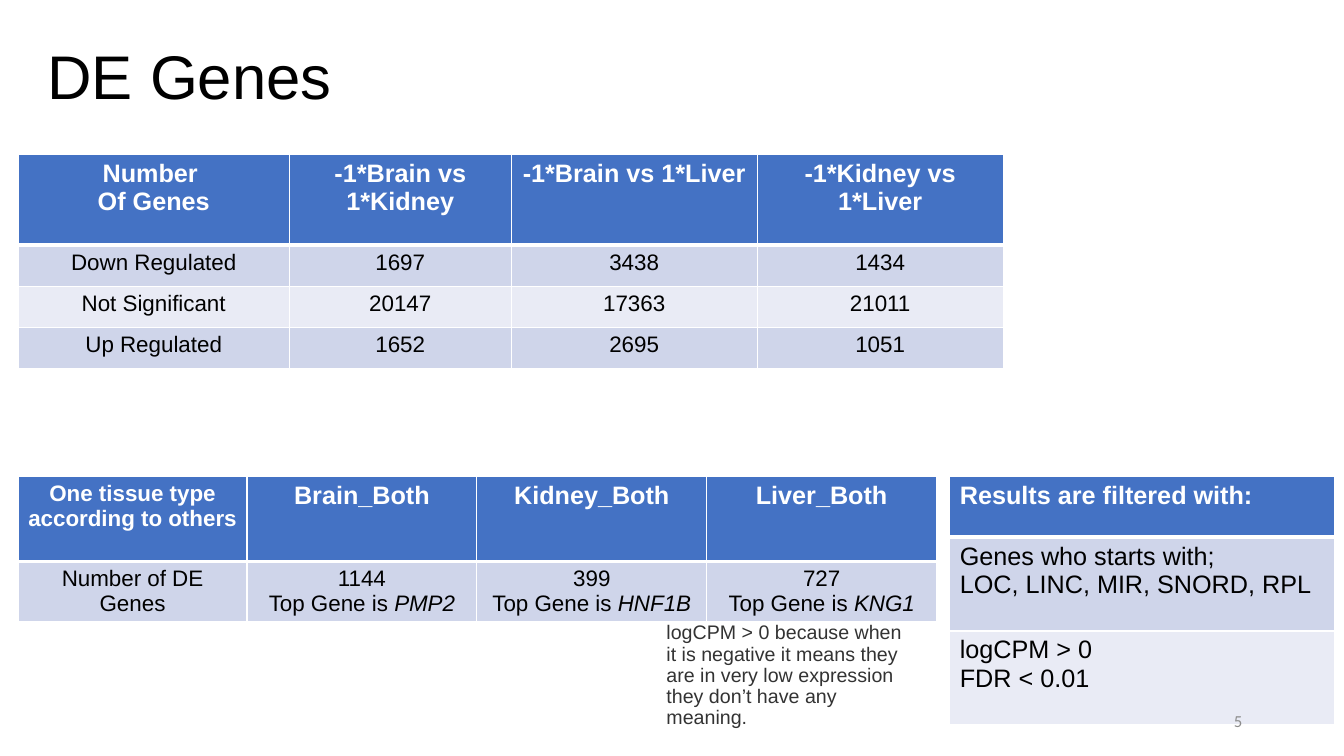
from dataclasses import dataclass

from lxml.etree import SubElement
from pptx import Presentation
from pptx.dml.color import RGBColor
from pptx.enum.text import MSO_ANCHOR, MSO_AUTO_SIZE, PP_ALIGN
from pptx.oxml.ns import qn
from pptx.util import Inches, Pt


@dataclass(frozen=True)
class Theme:
    font: str = "Arial"
    number_font: str = "Calibri"
    header: str = "4472C4"
    bands: tuple = ("CFD5EA", "E9EBF5")
    white: str = "FFFFFF"
    black: str = "000000"
    note: str = "333333"
    gray: str = "8C8C8C"
    title_size: int = 44
    head_size: int = 18
    cell_size: int = 16
    note_size: int = 14
    number_size: int = 12


T = Theme()


def style(font, size, color, bold=False, name=T.font):
    font.name, font.size, font.bold = name, Pt(size), bold
    font.color.rgb = RGBColor.from_string(color)


def place(shape, box):
    shape.left, shape.top, shape.width, shape.height = map(Inches, box)


def add_borders(cell, bottom):
    tc_pr = cell._tc.get_or_add_tcPr()
    for side, width in (("L", 1), ("R", 1), ("T", 1), ("B", bottom)):
        ln = SubElement(tc_pr, qn(f"a:ln{side}"), w=str(Pt(width)))
        fill = SubElement(ln, qn("a:solidFill"))
        SubElement(fill, qn("a:srgbClr"), val=T.white)


def fill_cell(cell, text, fill, size, color, bold, align):
    """Write one paragraph per line; whatever follows a bar is italic."""
    add_borders(cell, 3 if bold else 1)
    cell.fill.solid()
    cell.fill.fore_color.rgb = RGBColor.from_string(fill)
    tf = cell.text_frame
    for i, line in enumerate(text.split("\n")):
        p = tf.paragraphs[0] if i == 0 else tf.add_paragraph()
        plain, _, gene = line.partition("|")
        p.text = plain
        p.alignment = align
        if gene:
            r = p.add_run()
            r.text = gene
            r.font.italic = True
        for r in p.runs:
            style(r.font, size, color, bold)


def add_grid(s, left, top, widths, heights, rows,
             body_size=T.cell_size, align=PP_ALIGN.CENTER):
    box = map(Inches, (left, top, sum(widths), sum(heights)))
    table = s.shapes.add_table(len(rows), len(widths), *box).table
    for col, width in zip(table.columns, widths):
        col.width = Inches(width)
    for i, (row, height, texts) in enumerate(zip(table.rows, heights, rows)):
        row.height = Inches(height)
        if i == 0:
            look = (T.header, T.head_size, T.white, True)
        else:
            look = (T.bands[(i - 1) % 2], body_size, T.black, False)
        for cell, text in zip(row.cells, texts):
            fill_cell(cell, text, *look, align)
    return table


def add_title(s, box):
    title = s.shapes.title
    place(title, box)
    tf = title.text_frame
    tf.text = "DE Genes"
    tf.vertical_anchor = MSO_ANCHOR.MIDDLE
    tf.auto_size = MSO_AUTO_SIZE.NONE
    p = tf.paragraphs[0]
    p.alignment, p.line_spacing = PP_ALIGN.LEFT, 0.9
    style(p.runs[0].font, T.title_size, T.black)


def add_note(s, box):
    body = s.placeholders[1]
    place(body, box)
    tf = body.text_frame
    tf.text = ("logCPM > 0 because when it is negative it means they are in "
               "very low expression they don’t have any meaning.")
    tf.auto_size = MSO_AUTO_SIZE.NONE
    p = tf.paragraphs[0]
    p_pr = p._p.get_or_add_pPr()
    p_pr.set("marL", "0")
    p_pr.set("indent", "0")
    SubElement(p_pr, qn("a:buNone"))
    p.alignment, p.line_spacing, p.space_before = PP_ALIGN.LEFT, 0.9, Pt(0)
    style(p.runs[0].font, T.note_size, T.note)


def add_tissue_table(s, left, top):
    rows = [
        ["One tissue type according to others",
         "Brain_Both", "Kidney_Both", "Liver_Both"],
        ["Number of DE Genes", "1144\nTop Gene is |PMP2",
         "399\nTop Gene is |HNF1B", "727\nTop Gene is |KNG1"],
    ]
    table = add_grid(s, left, top, [2.27] + [2.28] * 3, [0.84, 0.6], rows)
    corner = table.cell(0, 0).text_frame.paragraphs[0]
    corner.runs[0].font.size = Pt(T.cell_size)


def add_filter_table(s, left, top):
    rows = [
        ["Results are filtered with:"],
        ["Genes who starts with;\nLOC, LINC, MIR, SNORD, RPL"],
        ["logCPM > 0\nFDR < 0.01"],
    ]
    add_grid(s, left, top, [3.82], [0.6, 0.93, 0.93], rows,
             T.head_size, PP_ALIGN.LEFT)


def add_regulation_table(s, left, top):
    rows = [
        ["Number \nOf Genes", "-1*Brain vs 1*Kidney",
         "-1*Brain vs 1*Liver", "-1*Kidney vs 1*Liver"],
        ["Down Regulated", "1697", "3438", "1434"],
        ["Not Significant", "20147", "17363", "21011"],
        ["Up Regulated", "1652", "2695", "1051"],
    ]
    add_grid(s, left, top, [2.69, 2.2, 2.44, 2.44], [0.9] + [0.41] * 3, rows)


def add_slide_number(s, box):
    tf = s.shapes.add_textbox(*map(Inches, box)).text_frame
    tf.word_wrap = True
    tf.text = "5"
    tf.vertical_anchor = MSO_ANCHOR.MIDDLE
    p = tf.paragraphs[0]
    p.alignment = PP_ALIGN.RIGHT
    style(p.runs[0].font, T.number_size, T.gray, name=T.number_font)


def main():
    prs = Presentation()
    prs.slide_width, prs.slide_height = Inches(13.33), Inches(7.5)
    s = prs.slides.add_slide(prs.slide_layouts[1])
    # Title and remark
    add_title(s, (0.37, 0.37, 4.53, 0.83))
    add_note(s, (6.51, 6.13, 2.68, 1.22))
    # Tables
    add_tissue_table(s, 0.18, 4.73)
    add_filter_table(s, 9.42, 4.73)
    add_regulation_table(s, 0.18, 1.53)
    # Slide number
    add_slide_number(s, (9.42, 6.95, 3, 0.4))
    prs.save("out.pptx")


if __name__ == "__main__":
    main()
